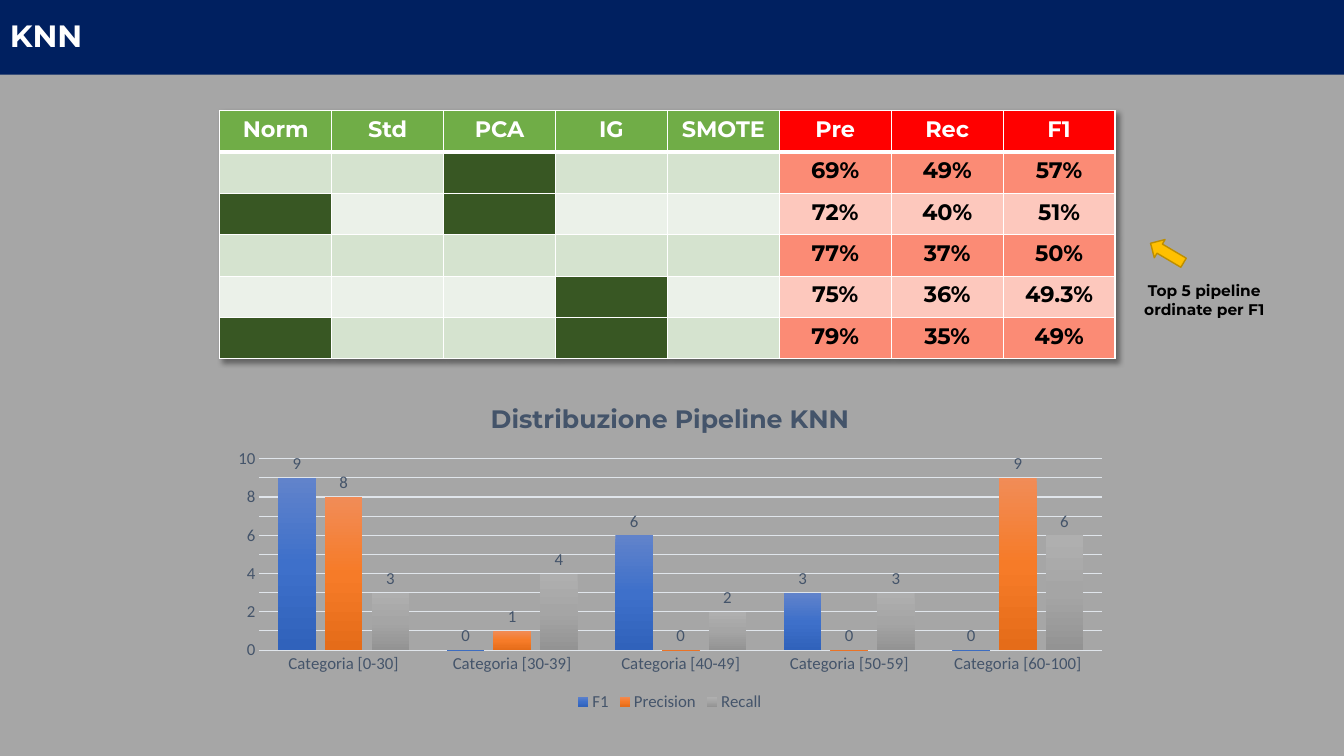
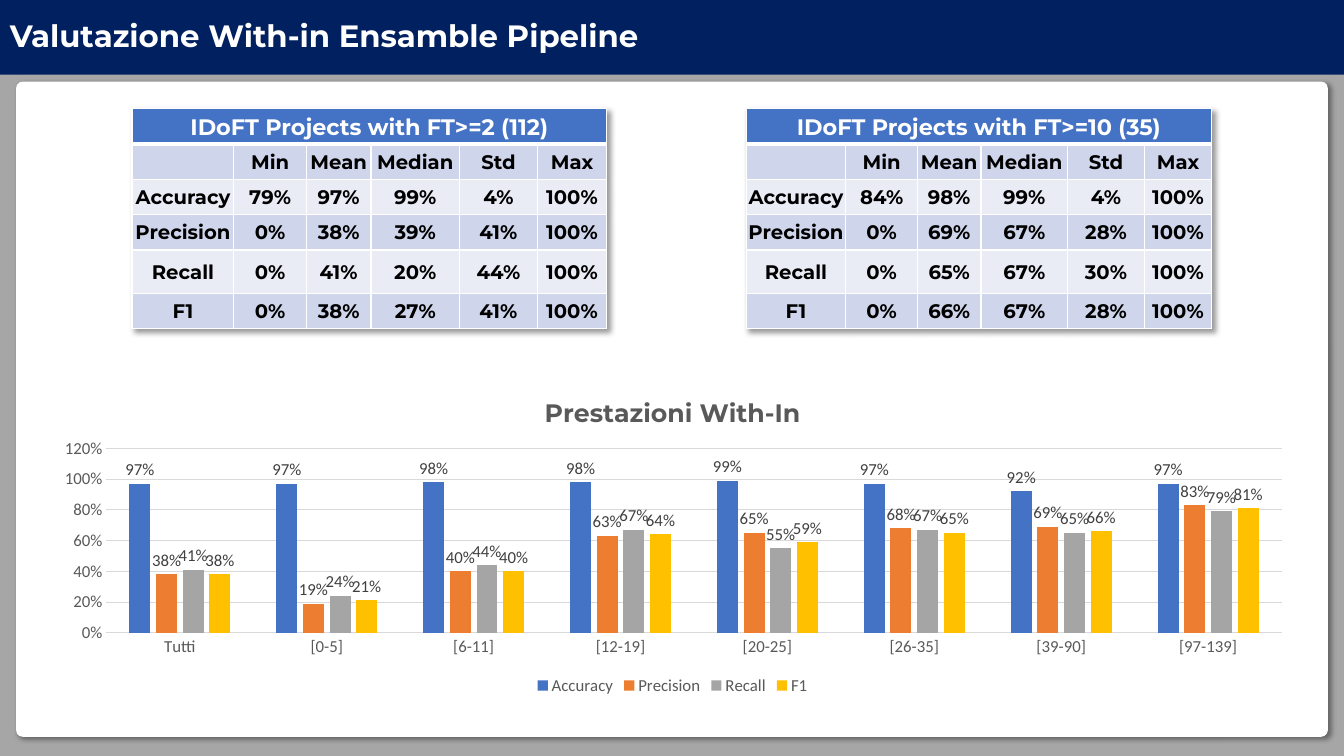
from dataclasses import dataclass
from typing import NamedTuple, Optional

from pptx import Presentation
from pptx import util as u
from pptx.chart import data as chart_data
from pptx.dml import color as dml
from pptx.enum import chart as charts, shapes, text
from pptx.oxml import parse_xml
from pptx.oxml.ns import nsdecls, qn

COLORS = {
    "background": "A6A6A6", "band": "002060", "white": "FFFFFF", "black": "000000",
    "feature": "70AD47", "feature_odd": "D5E3CF", "feature_even": "EBF1E9", "used": "385723",
    "score": "FF0000", "score_odd": "FB8B75", "score_even": "FDC8BD",
    "project": "4472C4", "project_odd": "CFD5EA", "project_even": "E9EBF5",
    "arrow": "FFC000", "arrow_edge": "BD8E00",
    "slate": "44546A", "slate_grid": "E0E5EB",
    "gray": "595959", "gray_grid": "D9D9D9", "gray_label": "404040",
}
TITLE_FONT = "Montserrat"
CHART_FONT = "Calibri"


class Box(NamedTuple):
    left: float
    top: float
    width: float
    height: float

    def lengths(self) -> list:
        return [u.Inches(value) for value in self]


class Cell(NamedTuple):
    text: str
    fill: str
    color: str = "black"
    size: int = 16


@dataclass
class Grid:
    left: float
    top: float
    columns: list[float]
    rows: list[float]
    cells: list[list[Cell]]
    compact: bool = False


class Series(NamedTuple):
    name: str
    values: list[float]
    colors: list[str]


@dataclass
class ColumnChart:
    title: str
    box: Box
    plot: Box
    categories: list[str]
    series: list[Series]
    gap: int
    overlap: int
    ink: str
    label_ink: str
    grid: str
    maximum: float
    unit: float
    number_format: str = "General"


def rgb(name: str) -> dml.RGBColor:
    return dml.RGBColor.from_string(COLORS[name])


def style_font(font, size: float, color: str, name: str = TITLE_FONT, bold: bool = True) -> None:
    font.size, font.name, font.bold = u.Pt(size), name, bold
    font.color.rgb = rgb(color)


def shadow_effect():
    return parse_xml(
        f'<a:effectLst {nsdecls("a")}><a:outerShdw blurRad="{u.Pt(4)}" dist="{u.Pt(3)}" '
        'dir="2700000" algn="tl" rotWithShape="0"><a:srgbClr val="000000">'
        '<a:alpha val="40000"/></a:srgbClr></a:outerShdw></a:effectLst>')


def add_block(slide, kind, box: Box, fill: str):
    block = slide.shapes.add_shape(kind, *box.lengths())
    block.shadow.inherit = False
    block.fill.solid()
    block.fill.fore_color.rgb = rgb(fill)
    block.line.fill.background()
    return block


def add_page(deck, title: str):
    slide = deck.slides.add_slide(deck.slide_layouts[6])
    slide.background.fill.solid()
    slide.background.fill.fore_color.rgb = rgb("background")
    band = add_block(slide, shapes.MSO_SHAPE.RECTANGLE, Box(0, 0, 13.33, 0.74), "band")
    frame = band.text_frame
    frame.text = title
    frame.vertical_anchor = text.MSO_ANCHOR.MIDDLE
    heading = frame.paragraphs[0]
    heading.alignment = text.PP_ALIGN.LEFT
    heading.line_spacing = 0.9
    style_font(heading.runs[0].font, 22, "white")
    return slide


def set_borders(cell, row: int) -> None:
    properties = cell._tc.get_or_add_tcPr()
    widths = {"lnL": 1, "lnR": 1, "lnT": 3 if row == 1 else 1, "lnB": 3 if row == 0 else 1}
    for side, width in widths.items():
        properties.append(parse_xml(
            f'<a:{side} {nsdecls("a")} w="{u.Pt(width)}"><a:solidFill>'
            f'<a:srgbClr val="{COLORS["white"]}"/></a:solidFill></a:{side}>'))


def fill_cell(cell, content: Cell, row: int, compact: bool) -> None:
    set_borders(cell, row)
    cell.fill.solid()
    cell.fill.fore_color.rgb = rgb(content.fill)
    if compact:
        cell.margin_left = cell.margin_right = cell.margin_top = u.Inches(0.01)
        cell.margin_bottom = 0
        cell.vertical_anchor = text.MSO_ANCHOR.MIDDLE
    if content.text:
        cell.text_frame.text = content.text
        paragraph = cell.text_frame.paragraphs[0]
        paragraph.alignment = text.PP_ALIGN.CENTER
        style_font(paragraph.runs[0].font, content.size, content.color)


def add_grid(slide, grid: Grid):
    box = Box(grid.left, grid.top, sum(grid.columns), sum(grid.rows))
    table = slide.shapes.add_table(len(grid.rows), len(grid.columns), *box.lengths()).table
    table._tbl.tblPr.insert(0, shadow_effect())
    for column, width in zip(table.columns, grid.columns):
        column.width = u.Inches(width)
    for row, height in zip(table.rows, grid.rows):
        row.height = u.Inches(height)
    for r, contents in enumerate(grid.cells):
        for c, content in enumerate(contents):
            fill_cell(table.cell(r, c), content, r, grid.compact)
    return table


def paint_series(series, colors: list[str]) -> None:
    fill = series.format.fill
    if len(colors) == 1:
        fill.solid()
        fill.fore_color.rgb = dml.RGBColor.from_string(colors[0])
        return
    fill.gradient()
    fill.gradient_angle = 270
    stops = series._element.spPr.find(qn("a:gradFill")).find(qn("a:gsLst"))
    for stop in list(stops):
        stops.remove(stop)
    for index, color in enumerate(colors):
        position = index * 100000 // (len(colors) - 1)
        stops.append(parse_xml(
            f'<a:gs {nsdecls("a")} pos="{position}"><a:srgbClr val="{color}"/></a:gs>'))


def place_plot(chart, frame: Box, plot: Box) -> None:
    fractions = {"x": (plot.left - frame.left) / frame.width,
                 "y": (plot.top - frame.top) / frame.height,
                 "w": plot.width / frame.width, "h": plot.height / frame.height}
    modes = '<c:layoutTarget val="inner"/><c:xMode val="edge"/><c:yMode val="edge"/>'
    values = "".join(f'<c:{key} val="{value:.3f}"/>' for key, value in fractions.items())
    area = chart._chartSpace.chart.plotArea
    for layout in area.findall(qn("c:layout")):
        area.remove(layout)
    area.insert(0, parse_xml(f'<c:layout {nsdecls("c")}><c:manualLayout>{modes}{values}'
                             '</c:manualLayout></c:layout>'))


def style_line(line, color: str) -> None:
    line.color.rgb = rgb(color)
    line.width = u.Pt(0.75)


def add_column_chart(slide, content: ColumnChart) -> None:
    data = chart_data.CategoryChartData(number_format=content.number_format)
    data.categories = content.categories
    for entry in content.series:
        data.add_series(entry.name, entry.values)
    chart = slide.shapes.add_chart(
        charts.XL_CHART_TYPE.COLUMN_CLUSTERED, *content.box.lengths(), data).chart
    style_font(chart.font, 12, content.ink, CHART_FONT, False)
    chart.has_title = True
    chart.chart_title.include_in_layout = False
    chart.chart_title.text_frame.text = content.title
    style_font(chart.chart_title.text_frame.paragraphs[0].runs[0].font, 18, content.ink)
    chart.has_legend = True
    chart.legend.position = charts.XL_LEGEND_POSITION.BOTTOM
    chart.legend.include_in_layout = False
    style_font(chart.legend.font, 12, content.ink, CHART_FONT, False)
    for axis in (chart.category_axis, chart.value_axis):
        axis.major_tick_mark = axis.minor_tick_mark = charts.XL_TICK_MARK.NONE
        style_font(axis.tick_labels.font, 12, content.ink, CHART_FONT, False)
    style_line(chart.category_axis.format.line, content.grid)
    scale = chart.value_axis
    scale.format.line.fill.background()
    style_line(scale.major_gridlines.format.line, content.grid)
    scale.minimum_scale, scale.maximum_scale = 0, content.maximum
    scale.major_unit = content.unit
    scale.tick_labels.number_format = content.number_format
    scale.tick_labels.number_format_is_linked = False
    columns = chart.plots[0]
    columns.gap_width, columns.overlap = content.gap, content.overlap
    columns.vary_by_categories = False
    for series, entry in zip(columns.series, content.series):
        paint_series(series, entry.colors)
        series.invert_if_negative = False
        labels = series.data_labels
        labels.show_value = True
        labels.position = charts.XL_LABEL_POSITION.OUTSIDE_END
        labels.number_format = content.number_format
        labels.number_format_is_linked = False
        style_font(labels.font, 12, content.label_ink, CHART_FONT, False)
    place_plot(chart, content.box, content.plot)


def pipeline_cells() -> list[list[Cell]]:
    features = ["Norm", "Std", "PCA", "IG", "SMOTE"]
    pipelines = [({"PCA"}, "69% 49% 57%"), ({"Norm", "PCA"}, "72% 40% 51%"),
                 (set(), "77% 37% 50%"), ({"IG"}, "75% 36% 49.3%"),
                 ({"Norm", "IG"}, "79% 35% 49%")]
    cells = [[Cell(name, "feature", "white") for name in features]
             + [Cell(name, "score", "white") for name in ("Pre", "Rec", "F1")]]
    for index, (used, scores) in enumerate(pipelines):
        parity = "even" if index % 2 else "odd"
        cells.append([Cell("", "used" if name in used else f"feature_{parity}")
                      for name in features]
                     + [Cell(score, f"score_{parity}") for score in scores.split()])
    return cells


def add_project_table(slide, left: float, columns: list[float], title: str,
                      metrics: list[str]) -> None:
    names = ["", "Accuracy", "Precision", "Recall", "F1"]
    cells = [[Cell(title if c == 0 else "", "project", "white") for c in range(6)]]
    for index, (name, values) in enumerate(zip(names, ["Min Mean Median Std Max"] + metrics)):
        fill = "project_even" if index % 2 else "project_odd"
        cells.append([Cell(value, fill, size=14) for value in [name] + values.split()])
    rows = [0.35, 0.35, 0.35, 0.35, 0.43, 0.35]
    table = add_grid(slide, Grid(left, 1.08, columns, rows, cells, compact=True))
    table.cell(0, 0).merge(table.cell(0, 5))


def build_knn(deck) -> None:
    slide = add_page(deck, "KNN")
    add_column_chart(slide, ColumnChart(
        "Distribuzione Pipeline KNN", Box(2.18, 3.82, 8.93, 3.28), Box(2.57, 4.55, 8.36, 1.9),
        [f"Categoria [{span}]" for span in ("0-30", "30-39", "40-49", "50-59", "60-100")],
        [Series("F1", [9, 0, 6, 3, 0], ["6183CB", "3E70CA", "3062BB"]),
         Series("Precision", [8, 1, 0, 0, 9], ["F18C57", "F67B28", "E56C19"]),
         Series("Recall", [3, 4, 2, 3, 6], ["AFAFAF", "A5A5A5", "939393"])],
        100, -24, "slate", "slate", "slate_grid", 10, 1))
    add_grid(slide, Grid(2.18, 1.1, [1.11] * 8, [0.41] * 6, pipeline_cells()))
    note = slide.shapes.add_textbox(*Box(11.2, 2.74, 1.49, 0.47).lengths()).text_frame
    note.word_wrap = True
    note.text = "Top 5 pipeline ordinate per F1"
    note.paragraphs[0].alignment = text.PP_ALIGN.CENTER
    style_font(note.paragraphs[0].runs[0].font, 11, "black")
    arrow = add_block(slide, shapes.MSO_SHAPE.DOWN_ARROW, Box(11.47, 2.32, 0.21, 0.38), "arrow")
    arrow.rotation = 120.6
    arrow.line.color.rgb = rgb("arrow_edge")
    arrow.line.width = u.Pt(1)


def build_ensemble(deck) -> None:
    slide = add_page(deck, "Valutazione With-in Ensamble Pipeline")
    panel = add_block(slide, shapes.MSO_SHAPE.ROUNDED_RECTANGLE,
                      Box(0.16, 0.81, 13.01, 6.5), "white")
    panel.adjustments[0] = 0.01
    properties = panel._element.spPr
    properties.replace(properties.find(qn("a:effectLst")), shadow_effect())
    add_project_table(slide, 1.31, [1.01, 0.72, 0.64, 0.88, 0.77, 0.69],
                      "IDoFT Projects with FT>=2 (112)",
                      ["79% 97% 99% 4% 100%", "0% 38% 39% 41% 100%",
                       "0% 41% 20% 44% 100%", "0% 38% 27% 41% 100%"])
    add_project_table(slide, 7.4, [0.99, 0.71, 0.63, 0.86, 0.76, 0.67],
                      "IDoFT Projects with FT>=10 (35)",
                      ["84% 98% 99% 4% 100%", "0% 69% 67% 28% 100%",
                       "0% 65% 67% 30% 100%", "0% 66% 67% 28% 100%"])
    add_column_chart(slide, ColumnChart(
        "Prestazioni With-In", Box(0.39, 3.76, 12.56, 3.18), Box(1.05, 4.45, 11.65, 1.83),
        ["Tutti", "[0-5]", "[6-11]", "[12-19]", "[20-25]", "[26-35]", "[39-90]", "[97-139]"],
        [Series("Accuracy", [0.97, 0.97, 0.98, 0.98, 0.99, 0.97, 0.92, 0.97], ["4472C4"]),
         Series("Precision", [0.38, 0.19, 0.4, 0.63, 0.65, 0.68, 0.69, 0.83], ["ED7D31"]),
         Series("Recall", [0.41, 0.24, 0.44, 0.67, 0.55, 0.67, 0.65, 0.79], ["A5A5A5"]),
         Series("F1", [0.38, 0.21, 0.4, 0.64, 0.59, 0.65, 0.66, 0.81], ["FFC000"])],
        219, -27, "gray", "gray_label", "gray_grid", 1.2, 0.2, "0%"))


def main() -> None:
    deck = Presentation()
    deck.slide_width, deck.slide_height = u.Inches(13.33), u.Inches(7.5)
    build_knn(deck)
    build_ensemble(deck)
    deck.save("out.pptx")


if __name__ == "__main__":
    main()
